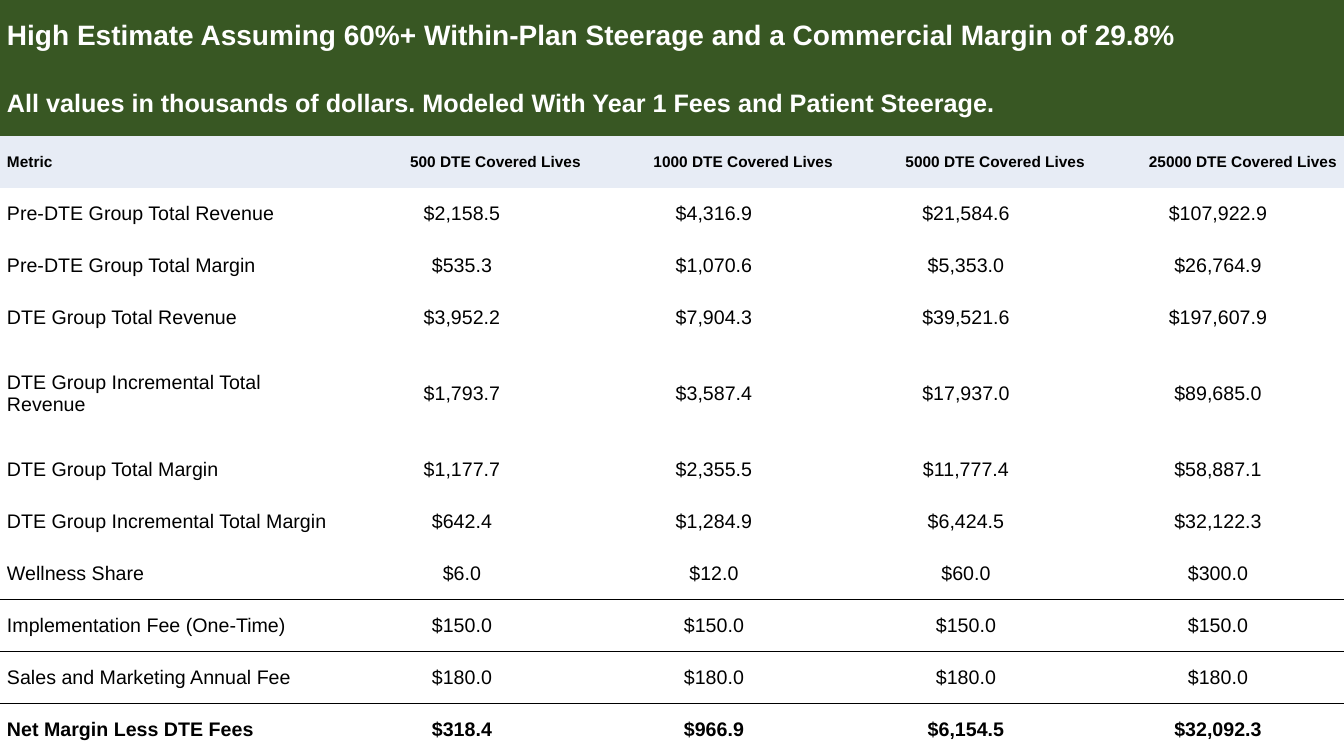
"""Build the high-estimate DTE margin table slide."""
from lxml import etree
from pptx import Presentation
from pptx.dml.color import RGBColor
from pptx.enum.text import MSO_ANCHOR, PP_ALIGN
from pptx.oxml.ns import qn
from pptx.util import Pt

GREEN = RGBColor(0x38, 0x57, 0x23)
PALE_BLUE = RGBColor(0xE7, 0xEC, 0xF5)
WHITE = RGBColor(0xFF, 0xFF, 0xFF)
BLACK = RGBColor(0x00, 0x00, 0x00)
LEFT, CENTER, RIGHT = PP_ALIGN.LEFT, PP_ALIGN.CENTER, PP_ALIGN.RIGHT
MIDDLE = MSO_ANCHOR.MIDDLE
NO_GRID_STYLE = "{2D5ABB26-0587-4C30-8999-92F81FD0307C}"
INDENT = Pt(5)

TITLES = [
    ("High Estimate Assuming 60%+ Within-Plan Steerage and a Commercial Margin of 29.8%", 20),
    ("All values in thousands of dollars. Modeled With Year 1 Fees and Patient Steerage.", 18),
]
HEADER = ["Metric"] + [f"{n} DTE Covered Lives" for n in (500, 1000, 5000, 25000)]
METRICS = [
    ("Pre-DTE Group Total Revenue", 2158.5, 4316.9, 21584.6, 107922.9),
    ("Pre-DTE Group Total Margin", 535.3, 1070.6, 5353.0, 26764.9),
    ("DTE Group Total Revenue", 3952.2, 7904.3, 39521.6, 197607.9),
    ("DTE Group Incremental Total Revenue", 1793.7, 3587.4, 17937.0, 89685.0),
    ("DTE Group Total Margin", 1177.7, 2355.5, 11777.4, 58887.1),
    ("DTE Group Incremental Total Margin", 642.4, 1284.9, 6424.5, 32122.3),
    ("Wellness Share", 6.0, 12.0, 60.0, 300.0),
    ("Implementation Fee (One-Time)", 150.0, 150.0, 150.0, 150.0),
    ("Sales and Marketing Annual Fee", 180.0, 180.0, 180.0, 180.0),
    ("Net Margin Less DTE Fees", 318.4, 966.9, 6154.5, 32092.3),
]
COL_WIDTHS = [240] + [180] * 4
ROW_HEIGHTS = [51.1, 46] + [37.14] * 4 + [71.4] + [37.14] * 6
RULED_ROWS = (9, 11)


def fill_cell(cell, text, size, color, bold, align, fill):
    cell.margin_left = cell.margin_right = cell.margin_top = cell.margin_bottom = 0
    cell.vertical_anchor = MIDDLE
    if fill is None:
        cell.fill.background()
    else:
        cell.fill.solid()
        cell.fill.fore_color.rgb = fill
    p = cell.text_frame.paragraphs[0]
    p.alignment = align
    pPr = p._p.get_or_add_pPr()
    pPr.set("marL", str(INDENT))
    pPr.set("marR", str(INDENT))
    pPr.set("indent", "0")
    r = p.add_run()
    r.text = text
    r.font.name = "Arial"
    r.font.size = Pt(size)
    r.font.bold = bold
    r.font.color.rgb = color


def add_border(cell, side):
    ln = etree.Element(qn(f"a:{side}"), w=str(Pt(1)))
    solid = etree.SubElement(ln, qn("a:solidFill"))
    etree.SubElement(solid, qn("a:srgbClr"), val=str(BLACK))
    cell._tc.get_or_add_tcPr().insert(0, ln)


prs = Presentation()
prs.slide_width = Pt(960)
prs.slide_height = Pt(540)
s = prs.slides.add_slide(prs.slide_layouts[6])

frame = s.shapes.add_table(len(ROW_HEIGHTS), len(COL_WIDTHS), 0, 0,
                           Pt(sum(COL_WIDTHS)), Pt(sum(ROW_HEIGHTS)))
table = frame.table
table.horz_banding = False
table._tbl.tblPr.find(qn("a:tableStyleId")).text = NO_GRID_STYLE
for col, width in zip(table.columns, COL_WIDTHS):
    col.width = Pt(width)
for row, height in zip(table.rows, ROW_HEIGHTS):
    row.height = Pt(height)

for i, (title, size) in enumerate(TITLES):
    table.cell(i, 0).merge(table.cell(i, len(COL_WIDTHS) - 1))
    fill_cell(table.cell(i, 0), title, size, WHITE, True, LEFT, GREEN)

for j, label in enumerate(HEADER):
    fill_cell(table.cell(2, j), label, 11, BLACK, True, RIGHT if j else LEFT, PALE_BLUE)

for i, (metric, *values) in enumerate(METRICS, 3):
    bold = i == len(ROW_HEIGHTS) - 1
    fill_cell(table.cell(i, 0), metric, 14, BLACK, bold, LEFT, None)
    for j, value in enumerate(values, 1):
        fill_cell(table.cell(i, j), f"${value:,.1f}", 14, BLACK, bold, CENTER, None)

for i in RULED_ROWS:
    for j in range(len(COL_WIDTHS)):
        add_border(table.cell(i, j), "lnB")
        add_border(table.cell(i + 1, j), "lnT")

prs.save("out.pptx")
